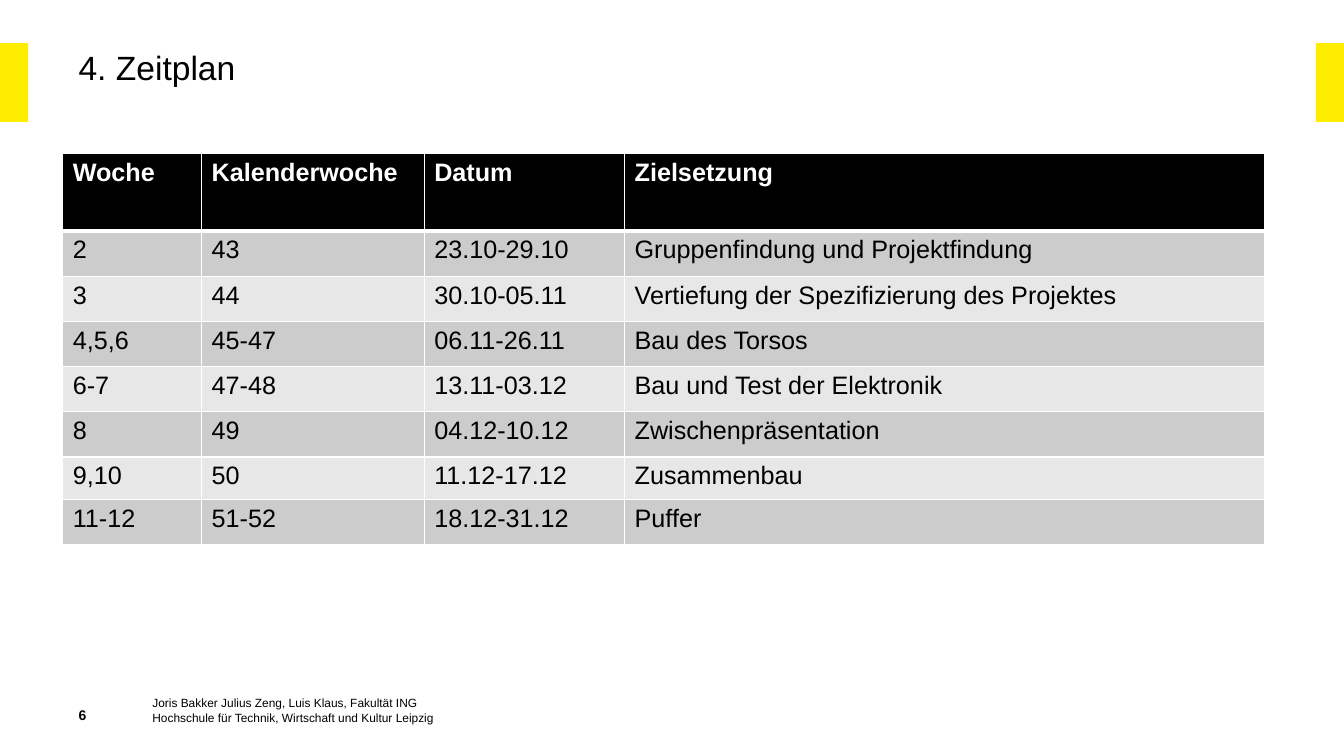
from pptx import Presentation
from pptx.dml.color import RGBColor
from pptx.enum.shapes import MSO_SHAPE
from pptx.enum.text import MSO_ANCHOR, PP_ALIGN
from pptx.oxml import parse_xml
from pptx.oxml.ns import nsdecls
from pptx.util import Cm, Pt

RECT = MSO_SHAPE.RECTANGLE
TOP, BOTTOM = MSO_ANCHOR.TOP, MSO_ANCHOR.BOTTOM
LEFT = PP_ALIGN.LEFT

BLACK, WHITE, YELLOW = "000000", "FFFFFF", "FFED00"
BANDS = ["CCCCCC", "E7E7E7"]
WIDE, HIGH = 33.87, 19.05

TITLE = "4. Zeitplan"
PLAN = [
    ("Woche", "Kalenderwoche", "Datum", "Zielsetzung"),
    ("2", "43", "23.10-29.10", "Gruppenfindung und Projektfindung"),
    ("3", "44", "30.10-05.11", "Vertiefung der Spezifizierung des Projektes"),
    ("4,5,6", "45-47", "06.11-26.11", "Bau des Torsos"),
    ("6-7", "47-48", "13.11-03.12", "Bau und Test der Elektronik"),
    ("8", "49", "04.12-10.12", "Zwischenpräsentation"),
    ("9,10", "50", "11.12-17.12", "Zusammenbau"),
    ("11-12", "51-52", "18.12-31.12", "Puffer"),
]
COLS = [3.5, 5.61, 5.05, 16.13]
ROWS = [1.96] + [1.14] * 5 + [1.07, 1.14]
FOOT = [
    ("Hochschule für Technik, Wirtschaft und Kultur Leipzig",
     (3.84, 17.93, 13.49, 0.33), dict(size=8.5, space=Pt(11))),
    ("Joris Bakker Julius Zeng, Luis Klaus, Fakultät ING",
     (3.84, 17.25, 13.49, 0.64), dict(size=8.5, space=Pt(11))),
    ("6", (1.98, 17.25, 1.37, 0.99), dict(size=10, bold=True)),
]


def paint(fill, color):
    fill.solid()
    fill.fore_color.rgb = RGBColor.from_string(color)


def write(frame, text, size=18, color=BLACK, bold=False, space=None):
    par = frame.paragraphs[0]
    par.alignment = LEFT
    if space:
        par.line_spacing = space
    run = par.add_run()
    run.text = text
    font = run.font
    font.name, font.size, font.bold = "Arial", Pt(size), bold
    font.color.rgb = RGBColor.from_string(color)


def trim(frame, anchor):
    frame.word_wrap = True
    frame.vertical_anchor = anchor
    frame.margin_left = frame.margin_right = 0
    frame.margin_top = frame.margin_bottom = 0


def edge(cell, side, width):
    cell._tc.get_or_add_tcPr().append(parse_xml(
        f'<a:ln{side} {nsdecls("a")} w="{Pt(width)}"><a:solidFill>'
        f'<a:srgbClr val="{WHITE}"/></a:solidFill></a:ln{side}>'))


def add_plan(slide):
    grid = slide.shapes.add_table(
        len(ROWS), len(COLS), Cm(1.58), Cm(3.86),
        Cm(sum(COLS)), Cm(sum(ROWS))).table
    for col, width in zip(grid.columns, COLS):
        col.width = Cm(width)
    for r, (line, high) in enumerate(zip(PLAN, ROWS)):
        grid.rows[r].height = Cm(high)
        head = r == 0
        for c, text in enumerate(line):
            cell = grid.cell(r, c)
            edges = dict(L=1, R=1, T=3 if r == 1 else 1, B=3 if head else 1)
            for side, width in edges.items():
                edge(cell, side, width)
            paint(cell.fill, BLACK if head else BANDS[(r - 1) % 2])
            write(cell.text_frame, text, color=WHITE if head else BLACK,
                  bold=head)


def main():
    deck = Presentation()
    deck.slide_width, deck.slide_height = Cm(WIDE), Cm(HIGH)
    slide = deck.slides.add_slide(deck.slide_layouts[5])

    tab = 0.71
    for left in (0, WIDE - tab):
        bar = slide.shapes.add_shape(RECT, Cm(left), Cm(1.09), Cm(tab), Cm(1.98))
        bar.shadow.inherit = False
        paint(bar.fill, YELLOW)
        bar.line.fill.background()

    title = slide.shapes.title
    title.left, title.top = Cm(1.98), Cm(1.09)
    title.width, title.height = Cm(29.87), Cm(1.98)
    trim(title.text_frame, TOP)
    write(title.text_frame, TITLE, size=24, space=1.08)

    add_plan(slide)

    for text, place, look in FOOT:
        box = slide.shapes.add_textbox(*map(Cm, place))
        trim(box.text_frame, BOTTOM)
        write(box.text_frame, text, **look)

    deck.save("out.pptx")


if __name__ == "__main__":
    main()
